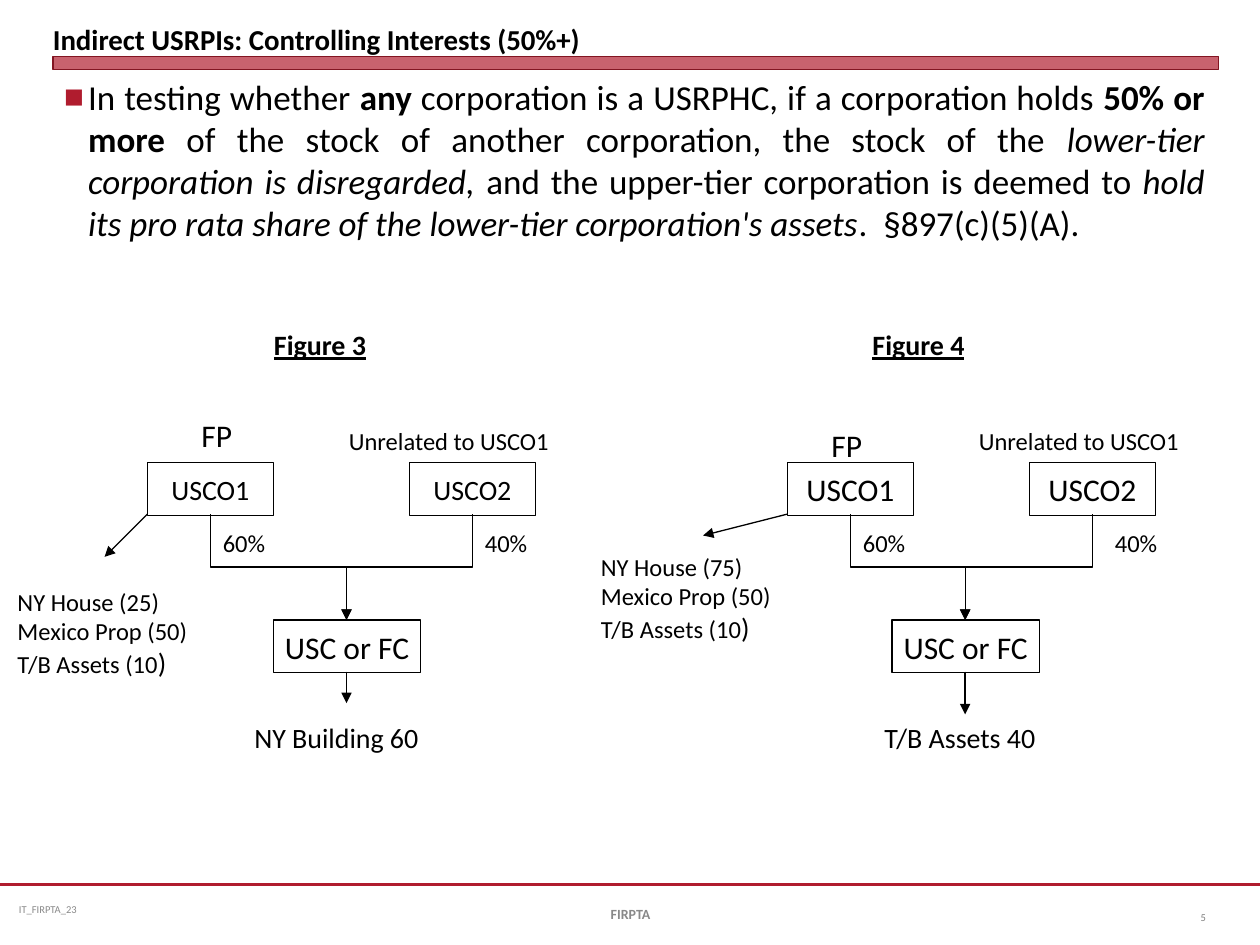
from dataclasses import dataclass
from lxml.etree import SubElement
from pptx import Presentation
from pptx.dml.color import RGBColor
from pptx.enum.shapes import MSO_CONNECTOR as Link, MSO_SHAPE as Shape
from pptx.enum.text import MSO_ANCHOR as Anchor, PP_ALIGN as Align
from pptx.oxml.ns import qn
from pptx.util import Inches, Pt


@dataclass(frozen=True)
class Theme:
    """Colours, font and type sizes."""
    font: str = "Calibri"
    ink: str = "000000"
    red: str = "B01C2E"
    edge: str = "821522"
    gray: str = "898989"
    pale: str = "808080"
    body: float = 20
    title: float = 16.5
    large: float = 18
    mid: float = 16
    note: float = 14
    foot: float = 8
    tiny: float = 6


@dataclass(frozen=True)
class Plan:
    """Wording and horizontal offsets of one ownership figure."""
    name: str
    asset: str
    lines: tuple
    size: float
    head: float
    first: float
    second: float
    base: float
    label: float
    owner: float
    other: float
    share: float
    sale: float
    list_at: tuple
    tip: tuple
    end: float


T = Theme()


def rgb(code):
    """Turn a hex code into a colour."""
    return RGBColor.from_string(code)


def write(shape, paras, size=T.note, color=T.ink, bold=False, line=False,
          align=Align.LEFT, anchor=Anchor.TOP, wrap=True, pad=(0.1, 0.05)):
    """Fill a shape with text; a run is a string or a (text, format) pair."""
    frame = shape.text_frame
    frame.word_wrap, frame.vertical_anchor = wrap, anchor
    frame.margin_left = frame.margin_right = Inches(pad[0])
    frame.margin_top = frame.margin_bottom = Inches(pad[1])
    for i, runs in enumerate([paras] if isinstance(paras, str) else paras):
        para = frame.paragraphs[0] if i == 0 else frame.add_paragraph()
        para.alignment = align
        for part in [runs] if isinstance(runs, str) else runs:
            text, form = (part, {}) if isinstance(part, str) else part
            run = para.add_run()
            run.text = text
            font = run.font
            font.name, font.size = T.font, Pt(form.get("size", size))
            font.bold, font.italic = form.get("bold", bold), form.get("italic", False)
            font.underline = line
            font.color.rgb = rgb(color)
    return frame


def label(slide, x, y, w, h, paras, **form):
    """Add a text box."""
    box = slide.shapes.add_textbox(Inches(x), Inches(y), Inches(w), Inches(h))
    return write(box, paras, **form)


def block(slide, x, y, w, h, text, size):
    """Add an outlined company box."""
    box = slide.shapes.add_shape(Shape.RECTANGLE, Inches(x), Inches(y), Inches(w), Inches(h))
    box.shadow.inherit = False
    box.fill.background()
    box.line.color.rgb, box.line.width = rgb(T.ink), Pt(0.75)
    write(box, text, size=size, align=Align.CENTER, anchor=Anchor.MIDDLE, wrap=False)


def link(slide, start, end, kind=Link.STRAIGHT, color=T.ink, width=0.75, arrow=True):
    """Add a connector, with an arrowhead by default."""
    wire = slide.shapes.add_connector(kind, *(Inches(v) for v in (*start, *end)))
    wire.line.color.rgb, wire.line.width = rgb(color), Pt(width)
    if arrow:
        SubElement(wire.line._get_or_add_ln(), qn("a:tailEnd"), type="triangle")
    SubElement(wire._element.spPr, qn("a:effectLst"))
    return wire


def elbow(slide, start, end):
    """Add an arrow that runs down, across and down again."""
    (x1, y1), (x2, y2) = start, end
    mid_x, mid_y = (x1 + x2) / 2, (y1 + y2) / 2
    drop, half = (y2 - y1) / 2, abs(x2 - x1) / 2
    side = drop if x1 < x2 else -drop
    wire = link(slide, (mid_x + side, mid_y - half), (mid_x - side, mid_y + half), Link.ELBOW)
    turn = 270 if x1 < x2 else 90
    wire._element.spPr.find(qn("a:xfrm")).set("rot", str(turn * 60000))


def header(slide, x, y, w):
    """Place the title and the red bar below it."""
    bar = slide.shapes.add_shape(Shape.RECTANGLE, Inches(x), Inches(y + 0.4), Inches(w), Inches(0.1))
    bar.shadow.inherit = False
    bar.fill.solid()
    bar.fill.fore_color.rgb = rgb(T.red)
    tint = bar.fill._xPr.find(qn("a:solidFill"))[0]
    SubElement(tint, qn("a:alpha"), val="69000")
    bar.line.color.rgb, bar.line.width = rgb(T.edge), Pt(0)
    label(slide, x, y, w, 0.4, "Indirect USRPIs: Controlling Interests (50%+)",
          size=T.title, bold=True, anchor=Anchor.BOTTOM, pad=(0, 0))


def rule(slide, x, y, w, h):
    """Place the bulleted statement of the rule."""
    strong, slant = {"bold": True}, {"italic": True}
    frame = label(slide, x, y, w, h, [[
        "In testing whether ", ("any", strong),
        " corporation is a USRPHC, if a corporation holds ", ("50% or more ", strong),
        "of the stock of another corporation, the stock of the ",
        ("lower-tier corporation is disregarded, ", slant),
        "and the upper-tier corporation is deemed to ",
        ("hold its pro rata share of the lower-tier corporation's assets", slant),
        ".  §897(c)(5)(A)."]], size=T.body, align=Align.JUSTIFY)
    props = frame.paragraphs[0]._p.get_or_add_pPr()
    props.set("marL", str(Inches(0.19)))
    props.set("indent", str(-Inches(0.19)))
    SubElement(SubElement(props, qn("a:buClr")), qn("a:srgbClr"), val=T.red)
    SubElement(props, qn("a:buSzPct"), val="60000")
    SubElement(props, qn("a:buFont"), typeface=T.font)
    SubElement(props, qn("a:buChar"), char="■")


def figure(slide, x, y, plan):
    """Place one ownership chart with its top left corner at x, y."""
    p, foot, mid = plan, y + 1.53, x + plan.base + 0.58
    label(slide, x + p.head, y, 1.2, 0.37, p.name, size=T.mid, bold=True, line=True, align=Align.CENTER)
    label(slide, x + p.owner, y + 0.7, 0.45, 0.4, "FP", size=T.large, wrap=False) if p.size == T.mid else \
        label(slide, x + p.owner, y + 0.78, 0.45, 0.4, "FP", size=T.large, wrap=False)
    label(slide, x + p.other, y + 0.78, 1.81, 0.34, "Unrelated to USCO1", wrap=False)
    for text, left, share, gap in (("USCO1", p.first, "60%", 0.5), ("USCO2", p.second, "40%", p.share)):
        block(slide, x + left, y + 1.12, 1, 0.42, text, p.size)
        elbow(slide, (x + left + 0.5, foot), (mid, y + 2.37))
        label(slide, x + left + gap, y + 1.59, 0.54, 0.34, share, wrap=False)
    block(slide, x + p.base, y + 2.37, 1.17, 0.42, "USC or FC", T.large)
    link(slide, (mid, y + 2.78), (mid, y + p.end))
    label(slide, x + p.sale, y + 3.12, p.label, 0.37, p.asset, size=T.mid, wrap=False)
    link(slide, (x + p.first, foot), (x + p.tip[0], y + p.tip[1]))
    label(slide, x + p.list_at[0], y + p.list_at[1], 1.75, 0.83, p.lines)


def footer(slide, y):
    """Place the bottom line, file mark, topic and page number."""
    link(slide, (0, y), (10, y), color=T.red, width=1.25, arrow=False)
    label(slide, 0.08, y, 2.58, 0.4, "IT_FIRPTA_23", size=T.tiny, color=T.gray,
          anchor=Anchor.MIDDLE, pad=(0.07, 0.04))
    label(slide, 3.42, y + 0.03, 3.17, 0.4, "FIRPTA", size=T.foot, color=T.gray, bold=True,
          align=Align.CENTER, anchor=Anchor.MIDDLE)
    label(slide, 9.17, y + 0.06, 0.5, 0.4, "5", size=T.tiny, color=T.pale,
          align=Align.RIGHT, anchor=Anchor.MIDDLE)


def main():
    """Build the slide and save it."""
    deck = Presentation()
    deck.slide_width, deck.slide_height = Inches(10), Inches(7.5)
    slide = deck.slides.add_slide(deck.slide_layouts[6])
    header(slide, 0.42, 0.05, 9.25)
    rule(slide, 0.41, 0.55, 9.25, 1.5)
    tail = ["Mexico Prop (50)", ["T/B Assets (10", (")", {"size": T.mid})]]
    figure(slide, 0, 2.55, Plan(
        "Figure 3", "NY Building 60", ("NY House (25)", *tail), T.mid, head=1.94,
        first=1.17, second=3.25, base=2.17, label=1.52, owner=1.5, other=2.67,
        share=0.5, sale=1.92, list_at=(0.04, 2.06), tip=(0.83, 1.87), end=3.03))
    figure(slide, 4.5, 2.55, Plan(
        "Figure 4", "T/B Assets 40", ("NY House (75)", *tail), T.large, head=2.19,
        first=1.75, second=3.67, base=2.58, label=1.42, owner=2, other=3.17,
        share=0.58, sale=2.42, list_at=(0.17, 1.78), tip=(1.08, 1.7), end=3.12))
    footer(slide, 7.02)
    deck.save("out.pptx")


if __name__ == "__main__":
    main()
